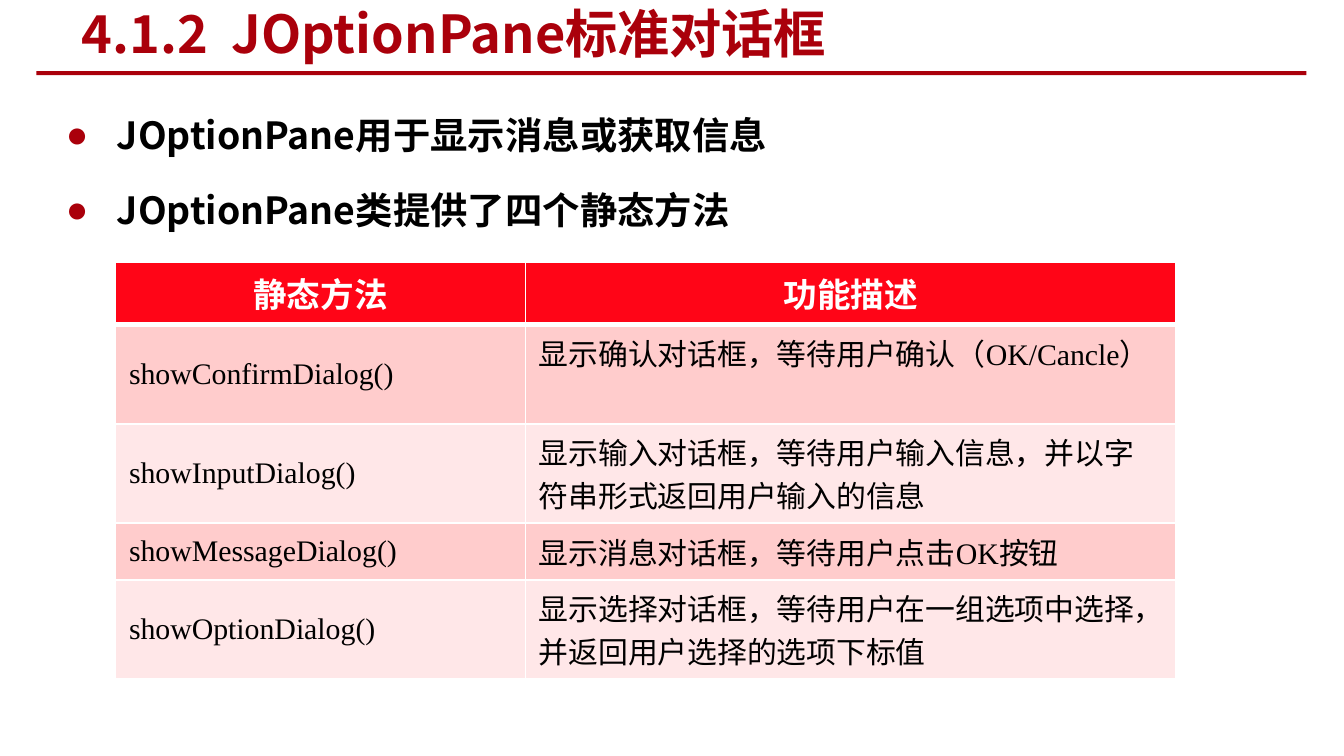
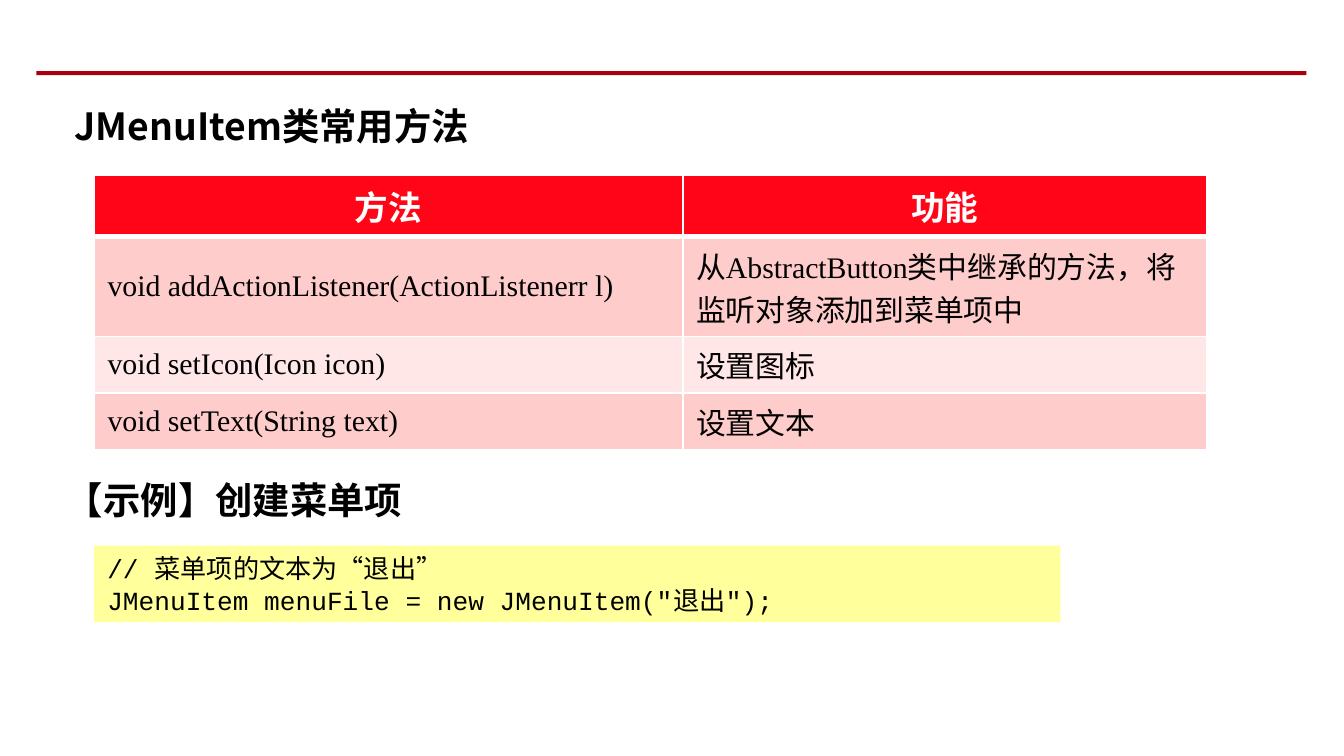
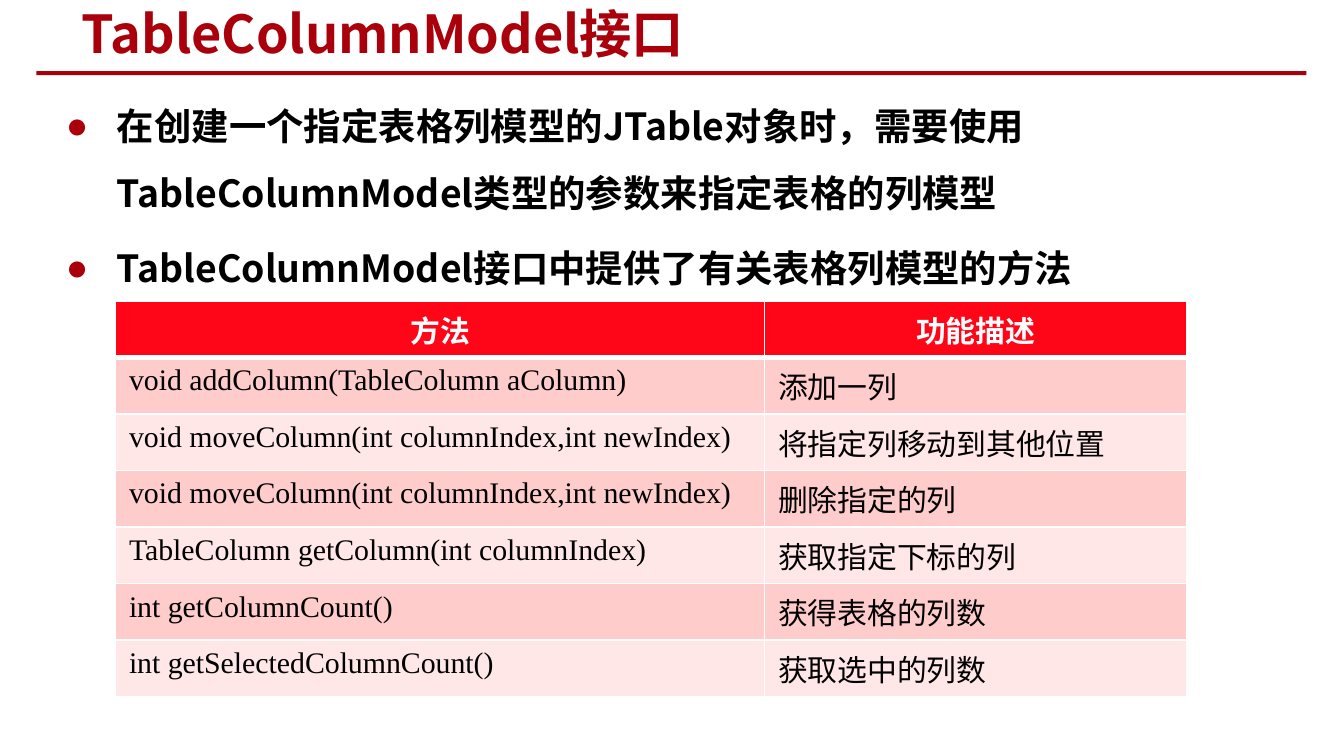
import dataclasses
import itertools

import lxml.etree
import pptx
import pptx.dml.color
import pptx.enum.shapes
import pptx.enum.text
import pptx.oxml.ns
import pptx.util

Inches = pptx.util.Inches
Pt = pptx.util.Pt
Anchor = pptx.enum.text.MSO_ANCHOR
Align = pptx.enum.text.PP_ALIGN
AutoSize = pptx.enum.text.MSO_AUTO_SIZE
qn = pptx.oxml.ns.qn


@dataclasses.dataclass(frozen=True)
class Theme:
    # Colours
    accent: str = "AA000B"
    ink: str = "000000"
    white: str = "FFFFFF"
    header: str = "FF0517"
    bands: tuple = ("FFCCCC", "FFE7E8")
    code_fill: str = "FFFF9B"
    # Fonts
    heading_font: str = "Noto Sans CJK SC"
    bullet_font: str = "Arial"
    header_font: str = "Calibri"
    latin_font: str = "Times New Roman"
    code_font: str = "Courier New"
    # Type sizes and spacing in points
    title_size: int = 28
    body_size: int = 20
    header_size: int = 18
    cell_size: int = 16
    code_size: int = 14
    body_gap: int = 4


THEME = Theme()


def rgb(value):
    return pptx.dml.color.RGBColor.from_string(value)


def add_run(para, text, font, size, color=THEME.ink, bold=False):
    span = para.add_run()
    span.text = text
    span.font.name = font
    span.font.size = Pt(size)
    span.font.bold = bold
    span.font.color.rgb = rgb(color)
    east_asian = lxml.etree.SubElement(span.font._element, qn("a:ea"))
    east_asian.set("typeface", THEME.heading_font)


def place(box, left, top, width, height):
    box.left, box.top = Inches(left), Inches(top)
    box.width, box.height = Inches(width), Inches(height)


def add_band(page, left, top, width, height, color):
    band = page.shapes.add_shape(
        pptx.enum.shapes.MSO_SHAPE.RECTANGLE,
        Inches(left), Inches(top), Inches(width), Inches(height))
    band.shadow.inherit = False
    band.fill.solid()
    band.fill.fore_color.rgb = rgb(color)
    band.line.fill.background()
    return band


def add_page(deck, title=None):
    """Page with the red rule and, if given, a title."""
    page = deck.slides.add_slide(deck.slide_layouts[1])
    add_band(page, 0.27, 0.53, 9.45, 0.03, THEME.accent)
    box = page.shapes.title
    if title is None:
        box._element.getparent().remove(box._element)
        return page
    place(box, 0.51, 0.02, 6.85, 0.45)
    frame = box.text_frame
    frame.auto_size = AutoSize.NONE
    frame.vertical_anchor = Anchor.MIDDLE
    para = frame.paragraphs[0]
    para.alignment = Align.LEFT
    add_run(para, title, THEME.heading_font, THEME.title_size, THEME.accent, True)
    return page


def set_bullet(para, bulleted):
    """Hanging indent, with a red dot or no mark."""
    props = para._p.get_or_add_pPr()
    props.set("marL", str(Inches(0.38)))
    props.set("indent", str(-Inches(0.38)))
    if not bulleted:
        lxml.etree.SubElement(props, qn("a:buNone"))
        return
    color = lxml.etree.SubElement(props, qn("a:buClr"))
    lxml.etree.SubElement(color, qn("a:srgbClr")).set("val", THEME.accent)
    lxml.etree.SubElement(props, qn("a:buFont")).set("typeface", THEME.bullet_font)
    lxml.etree.SubElement(props, qn("a:buChar")).set("char", "●")


def fill_body(page, lines, top, height, bulleted=True, gap=THEME.body_gap):
    """Bold list; gap is the space in points between its items."""
    box = page.placeholders[1]
    place(box, 0.39, top, 8.98, height)
    frame = box.text_frame
    frame.auto_size = AutoSize.NONE
    for index, line in enumerate(lines):
        para = frame.add_paragraph() if index else frame.paragraphs[0]
        para.line_spacing = 1.5
        para.space_before = Pt(gap if index else THEME.body_gap)
        set_bullet(para, bulleted)
        add_run(para, line, THEME.heading_font, THEME.body_size, bold=True)


def style_cell(cell, color, top=1, bottom=1):
    """White borders (widths in points) and a solid fill."""
    props = cell._tc.get_or_add_tcPr()
    for side, width in (("L", 1), ("R", 1), ("T", top), ("B", bottom)):
        line = lxml.etree.SubElement(props, qn("a:ln" + side))
        line.set("w", str(Pt(width)))
        paint = lxml.etree.SubElement(line, qn("a:solidFill"))
        lxml.etree.SubElement(paint, qn("a:srgbClr")).set("val", THEME.white)
    cell.fill.solid()
    cell.fill.fore_color.rgb = rgb(color)


def add_method_table(page, left, top, widths, rows, chinese_font="Arial",
                     header_size=THEME.header_size, method_anchor=Anchor.MIDDLE):
    """Table of methods: red header, then rows in two alternating tints."""
    row_height = 0.41
    table = page.shapes.add_table(
        len(rows), len(widths), Inches(left), Inches(top),
        Inches(sum(widths)), Inches(row_height * len(rows))).table
    for column, width in zip(table.columns, widths):
        column.width = Inches(width)
    for row_index, texts in enumerate(rows):
        for column_index, text in enumerate(texts):
            cell = table.cell(row_index, column_index)
            para = cell.text_frame.paragraphs[0]
            if row_index == 0:
                style_cell(cell, THEME.header, bottom=3)
                para.alignment = Align.CENTER
                add_run(para, text, THEME.header_font, header_size, THEME.white, True)
                continue
            style_cell(cell, THEME.bands[(row_index - 1) % 2],
                       top=3 if row_index == 1 else 1)
            if column_index == 0:
                cell.vertical_anchor = method_anchor
            # Code words and Chinese text take different fonts
            for is_latin, letters in itertools.groupby(text, str.isascii):
                font = THEME.latin_font if is_latin else chinese_font
                add_run(para, "".join(letters), font, THEME.cell_size)


def add_code(page, lines, left, top, width, height):
    box = add_band(page, left, top, width, height, THEME.code_fill)
    frame = box.text_frame
    frame.word_wrap = True
    frame.auto_size = AutoSize.SHAPE_TO_FIT_TEXT
    frame.vertical_anchor = Anchor.MIDDLE
    for index, line in enumerate(lines):
        para = frame.add_paragraph() if index else frame.paragraphs[0]
        para.alignment = Align.LEFT
        add_run(para, line, THEME.code_font, THEME.code_size)


def add_dialog_page(deck):
    page = add_page(deck, "4.1.2  JOptionPane标准对话框")
    fill_body(page, ["JOptionPane用于显示消息或获取信息",
                     "JOptionPane类提供了四个静态方法"], 0.62, 4.38)
    add_method_table(page, 0.86, 1.95, (3.05, 4.84), [
        ("静态方法", "功能描述"),
        ("showConfirmDialog()", "显示确认对话框，等待用户确认（OK/Cancle）"),
        ("showInputDialog()", "显示输入对话框，等待用户输入信息，并以字符串形式返回用户输入的信息"),
        ("showMessageDialog()", "显示消息对话框，等待用户点击OK按钮"),
        ("showOptionDialog()", "显示选择对话框，等待用户在一组选项中选择，并返回用户选择的选项下标值"),
    ])


def add_menu_page(deck):
    page = add_page(deck)
    # The gap leaves room for the table between the two headings
    fill_body(page, [" JMenuItem类常用方法", "【示例】创建菜单项"],
              0.55, 4.3, bulleted=False, gap=164.5)
    add_method_table(page, 0.7, 1.3, (4.38, 3.9), [
        ("方法", "功能"),
        ("void addActionListener(ActionListenerr l)",
         "从AbstractButton类中继承的方法，将监听对象添加到菜单项中"),
        ("void setIcon(Icon icon)", "设置图标"),
        ("void setText(String text)", "设置文本"),
    ])
    add_code(page, ["// 菜单项的文本为“退出”",
                    'JMenuItem menuFile = new JMenuItem("退出");'],
             0.7, 4.06, 7.19, 0.57)


def add_column_page(deck):
    page = add_page(deck, "TableColumnModel接口")
    fill_body(page, [
        "在创建一个指定表格列模型的JTable对象时，需要使用TableColumnModel类型的参数来指定表格的列模型",
        "TableColumnModel接口中提供了有关表格列模型的方法"], 0.55, 1.09)
    add_method_table(page, 0.86, 2.24, (4.83, 3.14), [
        ("方法", "功能描述"),
        ("void addColumn(TableColumn aColumn)", "添加一列"),
        ("void moveColumn(int columnIndex,int newIndex)", "将指定列移动到其他位置"),
        ("void moveColumn(int columnIndex,int newIndex)", "删除指定的列"),
        ("TableColumn getColumn(int columnIndex)", "获取指定下标的列"),
        ("int getColumnCount()", "获得表格的列数"),
        ("int getSelectedColumnCount()", "获取选中的列数"),
    ], chinese_font="Calibri", header_size=THEME.cell_size, method_anchor=Anchor.TOP)


def main():
    deck = pptx.Presentation()
    # Widescreen, 16 to 9
    deck.slide_width = Inches(10)
    deck.slide_height = deck.slide_width * 9 // 16
    add_dialog_page(deck)
    add_menu_page(deck)
    add_column_page(deck)
    deck.save("out.pptx")


if __name__ == "__main__":
    main()
